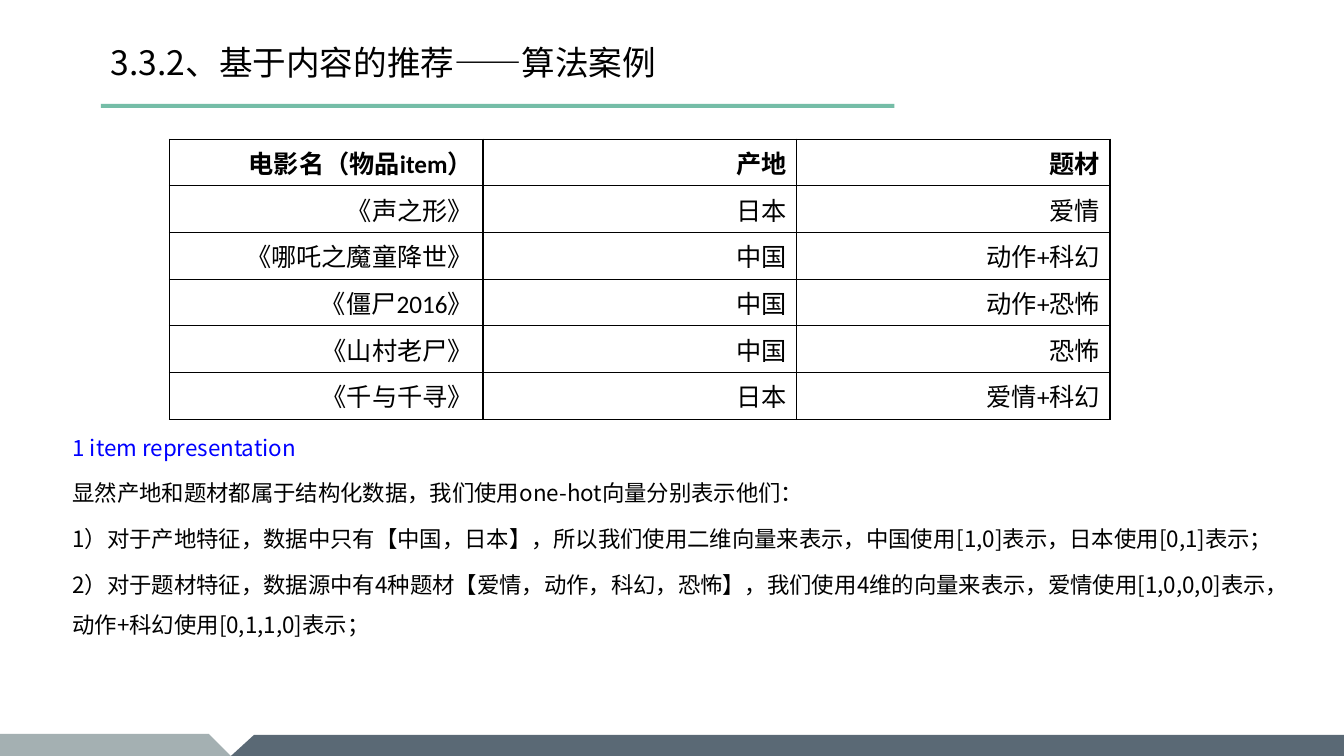
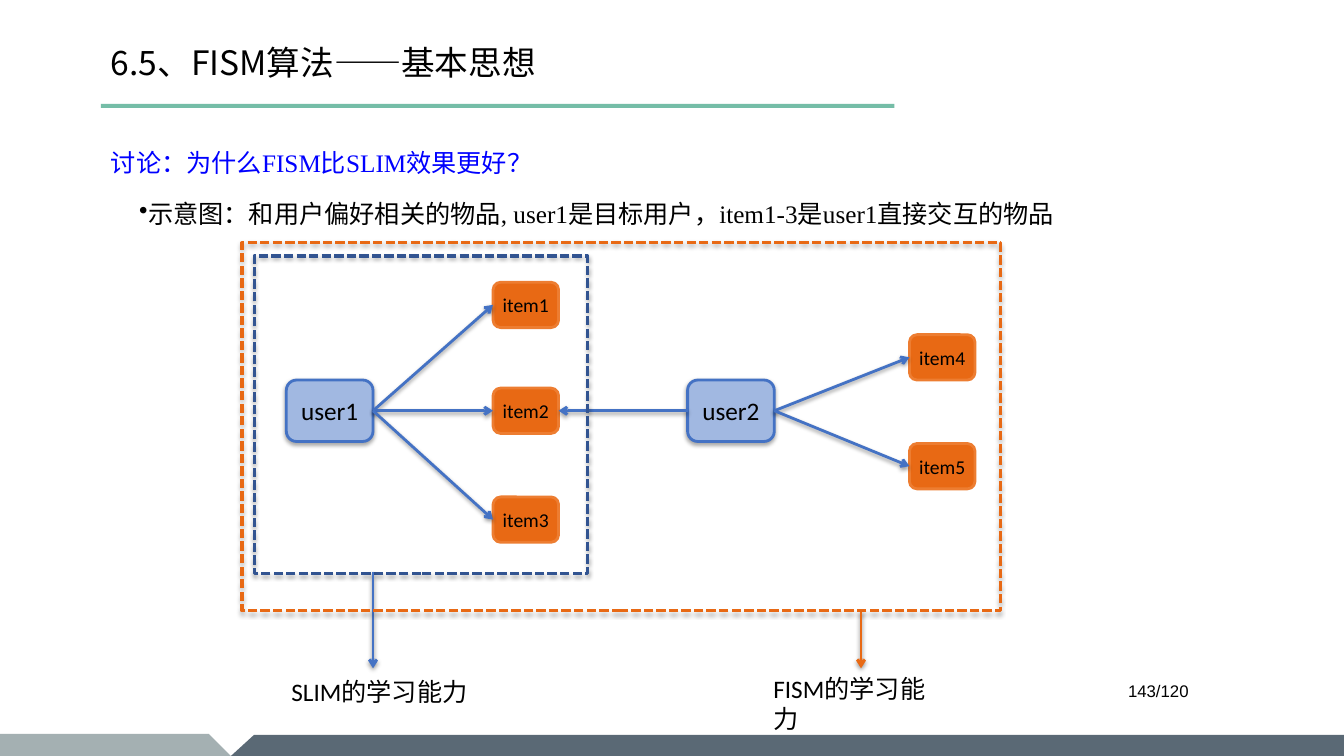
import pptx
import pptx.dml.color
import pptx.enum.dml
import pptx.enum.shapes
import pptx.enum.text
import pptx.oxml
import pptx.oxml.ns
import pptx.util
from lxml import etree

Inches, Pt = pptx.util.Inches, pptx.util.Pt
ALIGN, ANCHOR = pptx.enum.text.PP_ALIGN, pptx.enum.text.MSO_ANCHOR
SHAPE = pptx.enum.shapes.MSO_SHAPE
qn = pptx.oxml.ns.qn

COLORS = {
    "black": "000000", "heading": "0000FF", "rule": "75BDA7",
    "band_dark": "243848", "band_light": "7A8C8E",
    "item": "E86914", "item_line": "ED7D31",
    "user": "A1B8E1", "blue": "4472C4", "slim": "325491",
}
CJK_FONT, LATIN_FONT, SERIF_FONT = "Noto Sans CJK SC", "Calibri", "Times New Roman"

# colour, opacity in percent, outline
BANDS = [
    ("band_dark", 75, [(2.29, 7.5), (2.52, 7.29), (13.33, 7.29), (13.33, 7.5)]),
    ("band_light", 68, [(0, 7.28), (2.07, 7.28), (2.29, 7.5), (0, 7.5)]),
]

MOVIE_TITLE = "3.3.2、基于内容的推荐——算法案例"
MOVIES = [
    ("电影名（物品item）", "产地", "题材"),
    ("《声之形》", "日本", "爱情"),
    ("《哪吒之魔童降世》", "中国", "动作+科幻"),
    ("《僵尸2016》", "中国", "动作+恐怖"),
    ("《山村老尸》", "中国", "恐怖"),
    ("《千与千寻》", "日本", "爱情+科幻"),
]
MOVIE_NOTES = [
    "1 item representation",
    "显然产地和题材都属于结构化数据，我们使用one-hot向量分别表示他们：",
    "1）对于产地特征，数据中只有【中国，日本】，所以我们使用二维向量来表示，中国使用[1,0]表示，日本使用[0,1]表示；",
    "2）对于题材特征，数据源中有4种题材【爱情，动作，科幻，恐怖】，我们使用4维的向量来表示，"
    "爱情使用[1,0,0,0]表示，动作+科幻使用[0,1,1,0]表示；",
]

FISM_TITLE = "6.5、FISM算法——基本思想"
FISM_NOTES = [
    "讨论：为什么FISM比SLIM效果更好？",
    "示意图：和用户偏好相关的物品, user1是目标用户，item1-3是user1直接交互的物品",
]
PAGE_NUMBER = "143/120"
NODES = {
    "item1": (4.89, 2.8), "item2": (4.89, 3.85), "item3": (4.89, 4.93),
    "item4": (9.02, 3.32), "item5": (9.02, 4.4),
    "user1": (2.84, 3.77), "user2": (6.82, 3.77),
}
# size, fill, line, font size, shadow opacity
NODE_STYLES = {
    "item": ((0.65, 0.45), "item", "item_line", 14, 0),
    "user": ((0.86, 0.61), "user", "blue", 18, 35),
}
LINKS = [("user1", "item1"), ("user1", "item2"), ("user1", "item3"),
         ("user2", "item2"), ("user2", "item4"), ("user2", "item5")]
# frame, frame colour, arrow start, arrow colour, label, label place
SCOPES = [
    ((2.52, 2.54, 3.31, 3.15), "slim", (3.7, 5.67), "blue",
     "SLIM的学习能力", (2.84, 6.66)),
    ((2.4, 2.41, 7.52, 3.65), "item", (8.54, 6.07), "item",
     "FISM的学习能力", (7.62, 6.63)),
]
SCOPE_ARROW_END = 6.63


def rgb(name):
    return pptx.dml.color.RGBColor.from_string(COLORS[name])


def inches(values):
    return [Inches(value) for value in values]


def style(paragraph, size, font, color="black", bold=False):
    paragraph.font.size = Pt(size)
    paragraph.font.bold = bold
    paragraph.font.color.rgb = rgb(color)
    paragraph.font.name = font
    defaults = paragraph._p.pPr.find(qn("a:defRPr"))
    etree.SubElement(defaults, qn("a:ea")).set("typeface", CJK_FONT)


def set_shadow(shape, opacity, distance=1.8):
    """Give the shape a soft shadow below it, or none at opacity 0."""
    properties = shape._element.spPr
    effects = properties.find(qn("a:effectLst"))
    if effects is None:
        effects = etree.SubElement(properties, qn("a:effectLst"))
    if opacity:
        effects.append(pptx.oxml.parse_xml(
            f'<a:outerShdw {pptx.oxml.ns.nsdecls("a")} blurRad="{Pt(3)}" '
            f'dist="{Pt(distance)}" dir="5400000" rotWithShape="0">'
            f'<a:srgbClr val="{COLORS["black"]}"><a:alpha val="{opacity * 1000}"/>'
            '</a:srgbClr></a:outerShdw>'))


def paint(shape, fill=None, line=None, width=2.0):
    shape.shadow.inherit = False
    if fill:
        shape.fill.solid()
        shape.fill.fore_color.rgb = rgb(fill)
    else:
        shape.fill.background()
    if line:
        shape.line.color.rgb = rgb(line)
        shape.line.width = Pt(width)
    else:
        shape.line.fill.background()


def add_text(page, place, lines, size, font, first_color="black", anchor=ANCHOR.TOP,
             align=ALIGN.LEFT, spacing=None, bullet_from=None):
    frame = page.shapes.add_textbox(*inches(place)).text_frame
    frame.word_wrap = True
    frame.vertical_anchor = anchor
    frame.margin_left = frame.margin_right = Inches(0.05)
    frame.margin_top = frame.margin_bottom = Inches(0.05)
    for index, line in enumerate(lines):
        paragraph = frame.add_paragraph() if index else frame.paragraphs[0]
        paragraph.text = line
        paragraph.alignment = align
        if spacing:
            paragraph.line_spacing = spacing
            paragraph.space_before = Pt(4 if index else 0)
        if bullet_from is not None and index >= bullet_from:
            properties = paragraph._p.get_or_add_pPr()
            properties.set("marL", str(Inches(0.28)))
            properties.set("indent", "0")
            etree.SubElement(properties, qn("a:buChar")).set("char", "•")
        style(paragraph, size, font, "black" if index else first_color)


def add_page(deck, title):
    """Add a blank page with the shared bands, rule and title."""
    page = deck.slides.add_slide(deck.slide_layouts[6])
    for color, opacity, points in BANDS:
        start, *rest = [inches(point) for point in points]
        builder = page.shapes.build_freeform(*start)
        builder.add_line_segments(rest, close=True)
        band = builder.convert_to_shape()
        paint(band, color)
        tint = band._element.spPr.find(qn("a:solidFill"))[0]
        etree.SubElement(tint, qn("a:alpha")).set("val", str(opacity * 1000))
    rule = page.shapes.add_shape(SHAPE.RECTANGLE, *inches((1, 1.03, 7.87, 0.04)))
    paint(rule, "rule")
    add_text(page, (1.05, 0.19, 8.32, 0.86), [title], 24, CJK_FONT, anchor=ANCHOR.MIDDLE)
    return page


def add_borders(cell):
    properties = cell._tc.get_or_add_tcPr()
    for side in ("lnL", "lnR", "lnT", "lnB"):
        line = etree.SubElement(properties, qn(f"a:{side}"), w=str(Pt(1)))
        fill = etree.SubElement(line, qn("a:solidFill"))
        etree.SubElement(fill, qn("a:srgbClr"), val=COLORS["black"])


def add_movie_table(page):
    table = page.shapes.add_table(
        len(MOVIES), len(MOVIES[0]), *inches((1.68, 1.38, 9.33, 2.78))).table
    table.first_row = table.horz_banding = False
    for row, values in enumerate(MOVIES):
        for column, value in enumerate(values):
            cell = table.cell(row, column)
            cell.text = value
            add_borders(cell)
            cell.fill.background()
            paragraph = cell.text_frame.paragraphs[0]
            paragraph.alignment = ALIGN.RIGHT
            style(paragraph, 18, LATIN_FONT, bold=row == 0)


def add_arrow(page, start, end, color):
    arrow = page.shapes.add_connector(
        pptx.enum.shapes.MSO_CONNECTOR.STRAIGHT, *inches((*start, *end)))
    arrow.line.color.rgb = rgb(color)
    arrow.line.width = Pt(2)
    etree.SubElement(arrow.line._get_or_add_ln(), qn("a:tailEnd")).set("type", "arrow")
    set_shadow(arrow, 38, 1.6)


def add_node(page, name):
    size, fill, line, font_size, shadow = NODE_STYLES[name[:4]]
    node = page.shapes.add_shape(
        SHAPE.ROUNDED_RECTANGLE, *inches((*NODES[name], *size)))
    paint(node, fill, line)
    set_shadow(node, shadow)
    frame = node.text_frame
    frame.word_wrap = False
    frame.vertical_anchor = ANCHOR.MIDDLE
    paragraph = frame.paragraphs[0]
    paragraph.text = name
    paragraph.alignment = ALIGN.CENTER
    style(paragraph, font_size, LATIN_FONT)


def side_middle(name, right):
    """Return the middle of a node's right or left side."""
    left, top = NODES[name]
    width, height = NODE_STYLES[name[:4]][0]
    return left + (width if right else 0), top + height / 2


def add_scope(page, scope):
    """Add a dashed frame with an arrow down to its label."""
    place, color, start, arrow_color, label, label_place = scope
    frame = page.shapes.add_shape(SHAPE.RECTANGLE, *inches(place))
    paint(frame, line=color, width=2.25)
    frame.line.dash_style = pptx.enum.dml.MSO_LINE.SQUARE_DOT
    set_shadow(frame, 35)
    add_arrow(page, start, (start[0], SCOPE_ARROW_END), arrow_color)
    add_text(page, (*label_place, 1.85, 0.4), [label], 18, LATIN_FONT)


def main():
    deck = pptx.Presentation()
    deck.slide_width, deck.slide_height = inches((13.33, 7.5))

    page = add_page(deck, MOVIE_TITLE)
    add_text(page, (0.67, 4.12, 12, 2.22), MOVIE_NOTES, 16, CJK_FONT, "heading",
             spacing=1.5)
    add_movie_table(page)

    page = add_page(deck, FISM_TITLE)
    add_text(page, (1.05, 1.26, 11.27, 1.1), FISM_NOTES, 18, SERIF_FONT, "heading",
             spacing=1.5, bullet_from=1)
    add_text(page, (10.84, 6.7, 1, 0.3), [PAGE_NUMBER], 12, "Arial",
             anchor=ANCHOR.MIDDLE, align=ALIGN.RIGHT)
    for name in NODES:
        add_node(page, name)
    for source, target in LINKS:
        forward = NODES[source][0] < NODES[target][0]
        add_arrow(page, side_middle(source, forward),
                  side_middle(target, not forward), "blue")
    for scope in SCOPES:
        add_scope(page, scope)

    deck.save("out.pptx")


if __name__ == "__main__":
    main()
